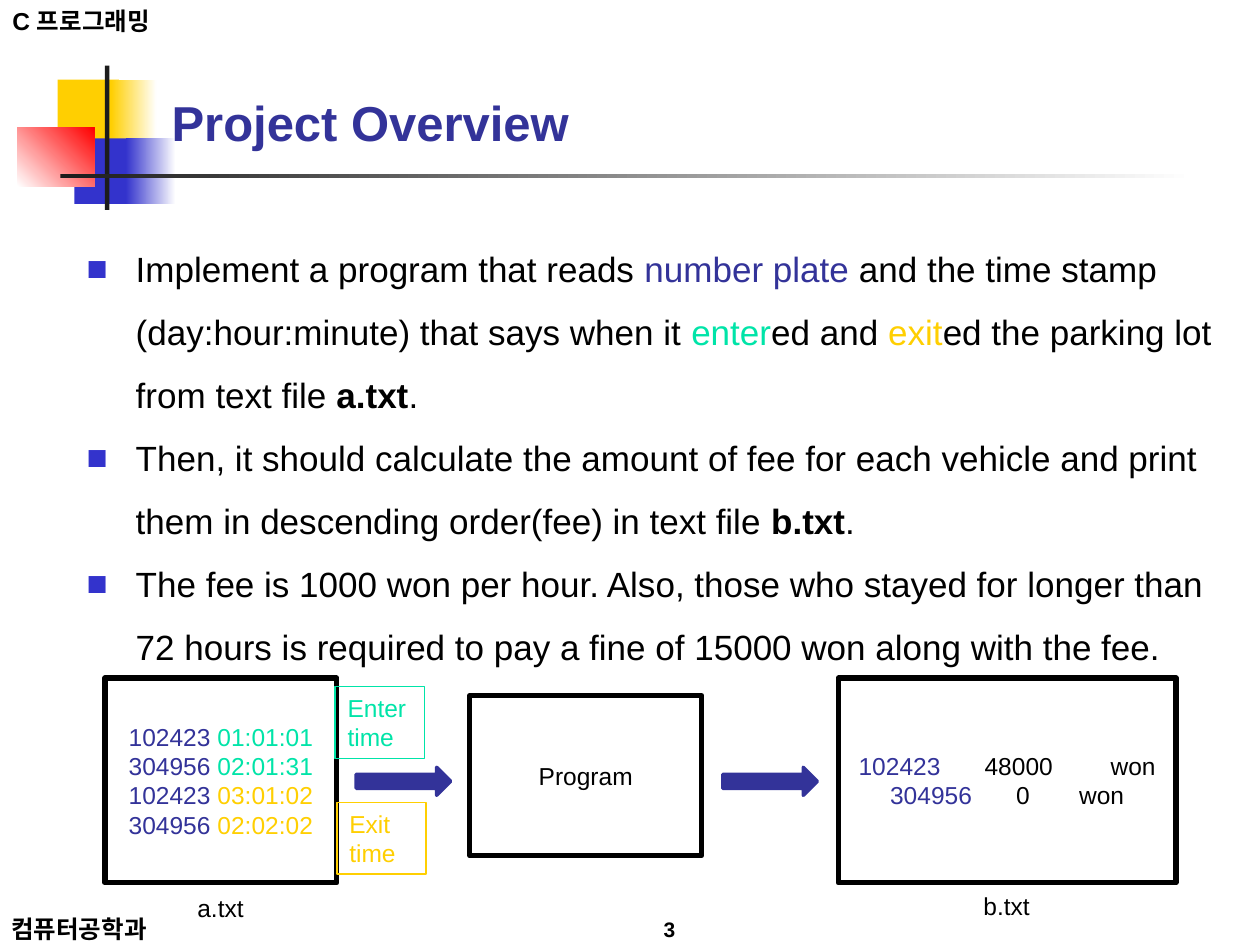
from dataclasses import dataclass

from lxml.etree import SubElement
from pptx import Presentation
from pptx.dml.color import RGBColor
from pptx.enum.shapes import MSO_SHAPE as Shape
from pptx.enum.text import MSO_ANCHOR as Anchor, PP_ALIGN as Align
from pptx.oxml.ns import qn
from pptx.util import Pt


@dataclass(frozen=True)
class Theme:
    font: str = "Arial"
    ink: str = "000000"
    paper: str = "FFFFFF"
    navy: str = "333399"
    blue: str = "3333CC"
    yellow: str = "FFCF01"
    red: str = "FF0000"
    green: str = "00E4A8"
    rule: str = "1C1C1C"
    title: int = 28
    body: int = 20
    label: int = 14
    page: int = 12


theme = Theme()
rgb = RGBColor.from_string

prs = Presentation()
prs.slide_width, prs.slide_height = Pt(720), Pt(540)
slide = prs.slides.add_slide(prs.slide_layouts[6])


def add_block(box, fill=None, line=None, width=0, kind=Shape.RECTANGLE, angle=0):
    """Add a preset shape; a pair of colours as fill makes a gradient."""
    block = slide.shapes.add_shape(kind, *map(Pt, box))
    block.shadow.inherit = False
    if isinstance(fill, tuple):
        block.fill.gradient()
        block.fill.gradient_angle = angle
        for stop, color, position in zip(block.fill.gradient_stops, fill, (0, 1)):
            stop.color.rgb = rgb(color)
            stop.position = position
    elif fill:
        block.fill.solid()
        block.fill.fore_color.rgb = rgb(fill)
    else:
        block.fill.background()
    if line:
        block.line.color.rgb = rgb(line)
        block.line.width = Pt(width)
        SubElement(block.line._get_or_add_ln(), qn("a:round"))
    else:
        block.line.fill.background()
    return block


def write(holder, paragraphs, size, anchor=Anchor.TOP, **paragraph_format):
    """Fill a shape with paragraphs, each a list of (text, colour, bold) runs."""
    frame = holder.text_frame
    frame.word_wrap = True
    frame.vertical_anchor = anchor
    for number, runs in enumerate(paragraphs):
        paragraph = frame.add_paragraph() if number else frame.paragraphs[0]
        for name, value in paragraph_format.items():
            setattr(paragraph, name, value)
        for text, color, bold in runs:
            run = paragraph.add_run()
            run.text = text
            font_format = {"name": theme.font, "size": Pt(size), "bold": bold}
            for name, value in font_format.items():
                setattr(run.font, name, value)
            run.font.color.rgb = rgb(color)


# Corner ornament and title rule
for box, fill, angle in [
    ((33, 45.5, 35, 37.5), theme.yellow, 0),
    ((63.5, 45.5, 26, 37.5), (theme.yellow, theme.paper), 0),
    ((42.5, 79, 33, 37.5), theme.blue, 0),
    ((72, 79, 28.5, 37.5), (theme.blue, theme.paper), 0),
    ((10, 73, 44, 33.5), (theme.paper, theme.red), 45),
    ((60, 37.5, 2.5, 82.5), theme.rule, 0),
    ((34.5, 99.5, 648, 2.3), (theme.rule, theme.paper), 0),
]:
    add_block(box, fill, angle=angle)

# Header, footer, title, page number
for box, text, size, color, align in [
    ((0, 0, 115, 24), "C 프로그래밍", theme.label, theme.ink, Align.LEFT),
    ((-0.7, 522, 112, 17.5), "컴퓨터공학과", theme.label, theme.ink, Align.LEFT),
    ((91, 49, 599, 41), "Project Overview", theme.title, theme.navy, Align.LEFT),
    ((327, 522, 66, 18), "3", theme.page, theme.ink, Align.RIGHT),
]:
    caption = slide.shapes.add_textbox(*map(Pt, box))
    write(caption, [[(text, color, True)]], size, Anchor.MIDDLE, alignment=align)

# Task description
tasks = [
    [
        ("Implement a program that reads ", theme.ink, False),
        ("number plate", theme.navy, False),
        (" and the time stamp (day:hour:minute) that says when it ", theme.ink, False),
        ("enter", theme.green, False),
        ("ed and ", theme.ink, False),
        ("exit", theme.yellow, False),
        ("ed the parking lot from text file ", theme.ink, False),
        ("a.txt", theme.ink, True),
        (".", theme.ink, False),
    ],
    [
        ("Then, it should calculate the amount of fee for each vehicle and print "
         "them in descending order(fee) in text file ", theme.ink, False),
        ("b.txt", theme.ink, True),
        (".", theme.ink, False),
    ],
    [
        ("The fee is 1000 won per hour. Also, those who stayed for longer than "
         "72 hours is required to pay a fine of 15000 won along with the fee.",
         theme.ink, False),
    ],
]
description = slide.shapes.add_textbox(Pt(34.5), Pt(126), Pt(676), Pt(378))
write(description, tasks, theme.body, line_spacing=1.5)
for paragraph in description.text_frame.paragraphs:
    properties = paragraph._p.get_or_add_pPr()
    properties.set("marL", str(Pt(36)))
    properties.set("indent", str(-Pt(28)))
    bullet_color = SubElement(properties, qn("a:buClr"))
    SubElement(bullet_color, qn("a:srgbClr"), val=theme.blue)
    SubElement(properties, qn("a:buFont"), typeface=theme.font)
    SubElement(properties, qn("a:buChar"), char="■")

# Data flow: input file, program, output file
stamps = [
    ("102423", "01:01:01", theme.green),
    ("304956", "02:01:31", theme.green),
    ("102423", "03:01:02", theme.yellow),
    ("304956", "02:02:02", theme.yellow),
]
fees = [("102423", 48000), ("304956", 0)]
input_lines = [
    [(plate + " ", theme.navy, False), (time, color, False)]
    for plate, time, color in stamps
]
output_lines = [
    [(plate, theme.navy, False), (f"\t{fee}\twon", theme.ink, False)]
    for plate, fee in fees
]
for box, lines in [
    ((60, 387.5, 132.5, 117), input_lines),
    ((479, 387.5, 193, 117), output_lines),
    ((268.5, 397.5, 132.5, 91.5), [[("Program", theme.ink, False)]]),
]:
    stage = add_block(box, theme.paper, theme.ink, 3)
    write(stage, lines, theme.label, Anchor.MIDDLE, alignment=Align.CENTER)

for box, file_name in [((68.5, 507, 115, 24), "a.txt"), ((525.5, 505.5, 99.5, 24), "b.txt")]:
    file_label = slide.shapes.add_textbox(*map(Pt, box))
    write(file_label, [[(file_name, theme.ink, False)]], theme.label, alignment=Align.CENTER)

for left in (203.5, 413):
    add_block((left, 438.5, 54, 16), theme.navy, theme.navy, 2, Shape.RIGHT_ARROW)

for left, top, text, color in [
    (191.5, 392.5, "Enter time", theme.green),
    (192.5, 458.5, "Exit time", theme.yellow),
]:
    time_key = add_block((left, top, 51, 41), line=color, width=0.75)
    write(time_key, [[(text, color, False)]], theme.label, alignment=Align.LEFT)

prs.save("out.pptx")
